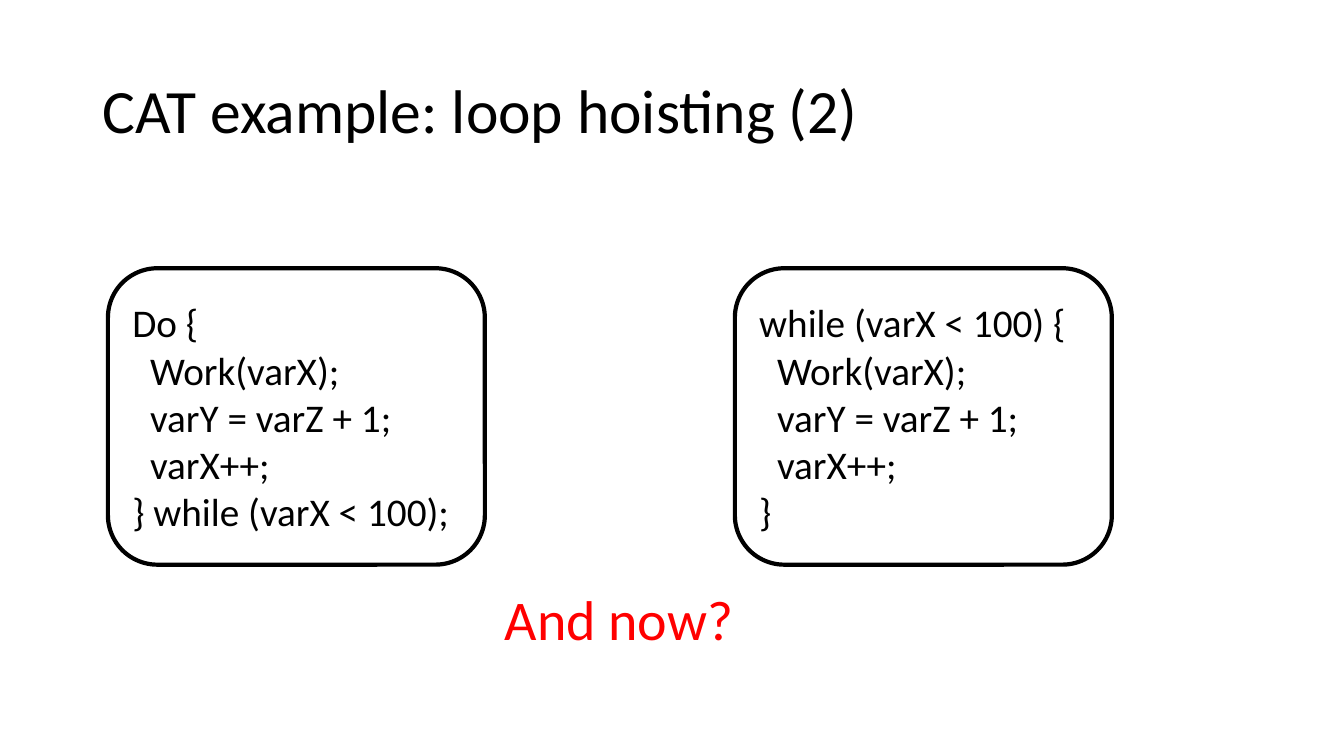
from dataclasses import dataclass

from pptx import Presentation
from pptx.dml.color import RGBColor as Rgb
from pptx.enum.shapes import MSO_SHAPE as Shape
from pptx.enum.text import MSO_ANCHOR as Anchor, MSO_AUTO_SIZE as Fit, PP_ALIGN as Align
from pptx.util import Cm, Pt


@dataclass(frozen=True)
class Theme:
    """Colours, font and type sizes of the slide."""
    font: str = "Calibri"
    ink: Rgb = Rgb(0, 0, 0)
    alert: Rgb = Rgb(255, 0, 0)
    title: int = 44
    code: int = 28
    ask: int = 40
    edge: int = 3
    step: float = 0.45


THEME = Theme()
DO_LOOP = [("Do {", 0), ("Work(varX);", 1), ("varY = varZ + 1;", 1),
           ("varX++;", 1), ("} while (varX < 100);", 0)]
WHILE_LOOP = [("while (varX < 100) {", 0), *DO_LOOP[1:4], ("}", 0)]


def write(frame, lines, size, color=THEME.ink, anchor=Anchor.TOP, wrap=True, space=1.0):
    """Fill a text frame with (text, indent level) lines in one format."""
    frame.word_wrap = wrap
    frame.vertical_anchor = anchor
    for i, (text, level) in enumerate(lines):
        para = frame.paragraphs[0] if i == 0 else frame.add_paragraph()
        para.alignment = Align.LEFT
        para.line_spacing = space
        if level:
            para._p.get_or_add_pPr().set("marL", str(Cm(level * THEME.step)))
        run = para.add_run()
        run.text = text
        run.font.name = THEME.font
        run.font.size = Pt(size)
        run.font.color.rgb = color


def head(slide, box, text):
    """Place and format the title."""
    title = slide.shapes.title
    title.left, title.top, title.width, title.height = map(Cm, box)
    write(title.text_frame, [(text, 0)], THEME.title, anchor=Anchor.MIDDLE, space=0.9)


def card(slide, box, lines):
    """Draw a rounded outline around a code listing."""
    shape = slide.shapes.add_shape(Shape.ROUNDED_RECTANGLE, *map(Cm, box))
    shape.shadow.inherit = False
    shape.fill.background()
    shape.line.color.rgb = THEME.ink
    shape.line.width = Pt(THEME.edge)
    write(shape.text_frame, lines, THEME.code, anchor=Anchor.MIDDLE)


def pair(slide, box, loops):
    """Set the cards at the two ends of the box."""
    left, top, width, height = box
    wide = 9.5
    pitch = (width - wide) / (len(loops) - 1)
    for i, loop in enumerate(loops):
        card(slide, (left + i * pitch, top, wide, height), loop)


def ask(slide, box, text):
    """Put the closing question below the cards."""
    frame = slide.shapes.add_textbox(*map(Cm, box)).text_frame
    write(frame, [(text, 0)], THEME.ask, color=THEME.alert, wrap=False)
    frame.auto_size = Fit.SHAPE_TO_FIT_TEXT


def main():
    """Build and save the slide."""
    deck = Presentation()
    deck.slide_width, deck.slide_height = Cm(33.87), Cm(19.05)
    slide = deck.slides.add_slide(deck.slide_layouts[5])
    head(slide, (2.34, 1.02, 29.21, 3.68), "CAT example: loop hoisting (2)")
    pair(slide, (2.72, 6.76, 25.3, 7.47), [DO_LOOP, WHILE_LOOP])
    ask(slide, (12.47, 14.6, 6.32, 1.96), "And now?")
    deck.save("out.pptx")


main()
